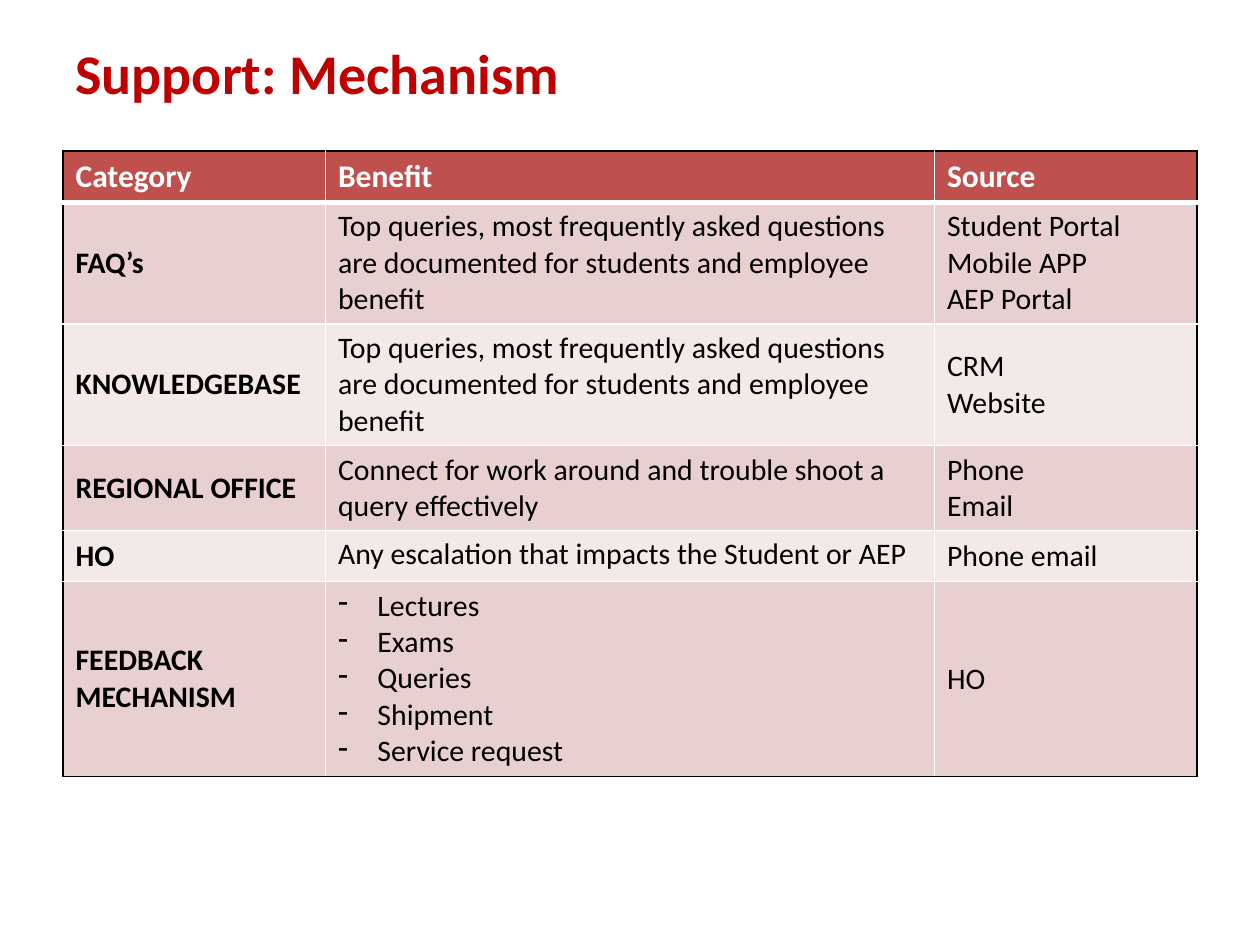
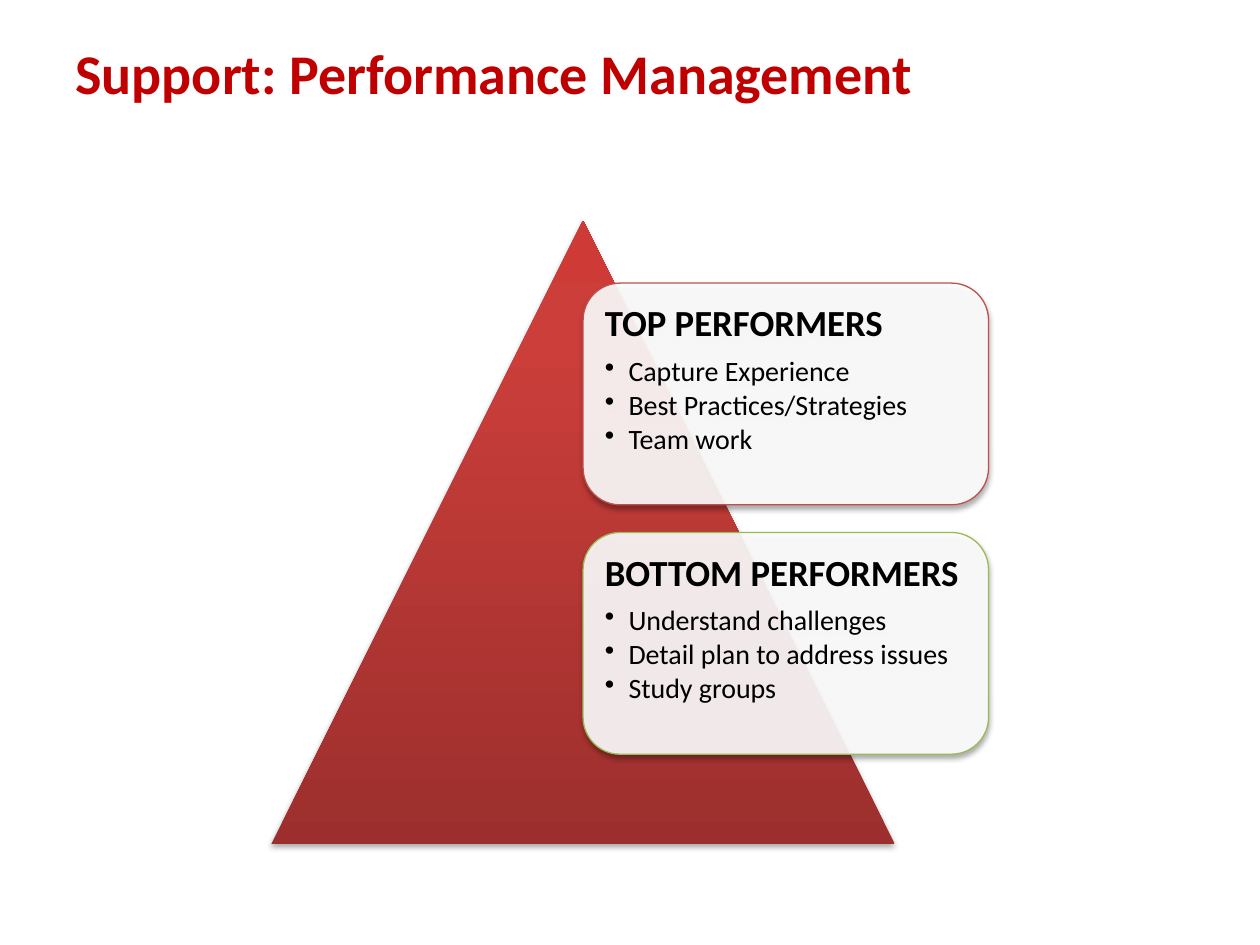
from dataclasses import dataclass

from lxml import etree
from pptx import Presentation
from pptx.dml.color import RGBColor
from pptx.enum.shapes import MSO_SHAPE
from pptx.enum.text import MSO_ANCHOR
from pptx.oxml.ns import qn
from pptx.util import Pt

TRIANGLE = MSO_SHAPE.ISOSCELES_TRIANGLE
ROUNDED = MSO_SHAPE.ROUNDED_RECTANGLE
TOP, MIDDLE = MSO_ANCHOR.TOP, MSO_ANCHOR.MIDDLE
BLANK_LAYOUT = 6


# Shared look
@dataclass(frozen=True)
class Theme:
    font: str = "Calibri"
    title: str = "C00000"
    ink: str = "000000"
    paper: str = "FFFFFF"
    red: str = "C0504D"
    green: str = "9BBB59"
    bands: tuple[str, str] = ("E8D0D0", "F4E9E9")
    pyramid: tuple[tuple[int, str], ...] = (
        (0, "9C2F2D"), (80, "CB3E3A"), (100, "CE3B37"))
    title_size: float = 32
    header_size: float = 18
    cell_size: float = 17
    card_title_size: float = 21
    card_size: float = 16


THEME = Theme()


@dataclass(frozen=True)
class Box:
    left: float
    top: float
    width: float
    height: float

    def lengths(self) -> tuple:
        return Pt(self.left), Pt(self.top), Pt(self.width), Pt(self.height)


@dataclass(frozen=True)
class SupportRow:
    height: float
    category: str
    benefit: tuple[str, ...]
    source: tuple[str, ...]
    bullet: str = ""
    source_anchor: MSO_ANCHOR = MIDDLE


@dataclass(frozen=True)
class Card:
    title: str
    points: tuple[str, ...]
    outline: str


# Slide content
QUERIES = ("Top queries, most frequently asked questions are documented "
           "for students and employee benefit",)
HEADINGS = ("Category", "Benefit", "Source")
HEADER_HEIGHT = 29.2
COLUMN_WIDTHS = (150, 348, 150)
SUPPORT_ROWS = (
    SupportRow(69.5, "FAQ’s", QUERIES,
               ("Student Portal", "Mobile APP", "AEP Portal"),
               source_anchor=TOP),
    SupportRow(69.5, "KNOWLEDGEBASE", QUERIES, ("CRM", "Website")),
    SupportRow(48.5, "REGIONAL OFFICE",
               ("Connect for work around and trouble shoot a query effectively",),
               ("Phone", "Email"), source_anchor=TOP),
    SupportRow(29.2, "HO", ("Any escalation that impacts the Student or AEP",),
               ("Phone email",)),
    SupportRow(111.5, "FEEDBACK MECHANISM",
               ("Lectures", "Exams", "Queries", "Shipment", "Service request"),
               ("HO",), bullet="-"),
)
CARDS = (
    Card("TOP PERFORMERS",
         ("Capture Experience", "Best Practices/Strategies", "Team work"),
         THEME.red),
    Card("BOTTOM PERFORMERS",
         ("Understand challenges", "Detail plan to address issues",
          "Study groups"),
         THEME.green),
)

TITLE_BOX = Box(36, 15.84, 648, 50.4)
TABLE_LEFT, TABLE_TOP = 36, 86.4
PYRAMID_BOX = Box(155, 126, 356.4, 356.4)
FIRST_CARD = Box(333.2, 161.8, 231.7, 126.7)
CARD_STEP = 142.5
CARD_INSET = 6.3


# Formatting helpers
def apply(target: object, values: dict) -> None:
    for name, value in values.items():
        setattr(target, name, value)


def write(para, text: str, size: float, color: str, bold: bool = False) -> None:
    span = para.add_run()
    span.text = text
    apply(span.font, {"name": THEME.font, "size": Pt(size), "bold": bold})
    span.font.color.rgb = RGBColor.from_string(color)


def add_bullet(para, mark: str, indent: float) -> None:
    properties = para._p.get_or_add_pPr()
    properties.set("marL", str(Pt(indent)))
    properties.set("indent", str(-Pt(indent)))
    etree.SubElement(properties, qn("a:buChar"), char=mark)


def next_para(frame, index: int):
    return frame.paragraphs[0] if index == 0 else frame.add_paragraph()


def add_color(parent, color: str):
    return etree.SubElement(parent, qn("a:srgbClr"), val=color)


def set_alpha(color_element, percent: int) -> None:
    etree.SubElement(color_element, qn("a:alpha"), val=str(percent * 1000))


def add_soft_shadow(shape) -> None:
    shape.shadow.inherit = False
    effects = shape._element.spPr.find(qn("a:effectLst"))
    shadow = etree.SubElement(
        effects, qn("a:outerShdw"), blurRad=str(Pt(3.1)), dist=str(Pt(1.8)),
        dir=str(90 * 60000), rotWithShape="0")
    set_alpha(add_color(shadow, THEME.ink), 35)


def add_title(page, text: str) -> None:
    frame = page.shapes.add_textbox(*TITLE_BOX.lengths()).text_frame
    apply(frame, {"word_wrap": True, "vertical_anchor": MIDDLE})
    write(frame.paragraphs[0], text, THEME.title_size, THEME.title, True)


# Table
def set_borders(cell, row: int, column: int) -> None:
    last_row, last_column = len(SUPPORT_ROWS), len(HEADINGS) - 1
    outer = {"L": column == 0, "R": column == last_column,
             "T": row == 0, "B": row == last_row}
    below_header = {"T": row == 1, "B": row == 0}
    properties = cell._tc.get_or_add_tcPr()
    for index, (side, is_outer) in enumerate(outer.items()):
        width = 3 if below_header.get(side) else 1
        line = etree.Element(qn(f"a:ln{side}"), w=str(Pt(width)))
        fill = etree.SubElement(line, qn("a:solidFill"))
        add_color(fill, THEME.ink if is_outer else THEME.paper)
        properties.insert(index, line)


def fill_cell(cell, lines: tuple[str, ...], size: float, color: str, fill: str,
              bold: bool = False, anchor: MSO_ANCHOR = TOP,
              bullet: str = "") -> None:
    cell.fill.solid()
    cell.fill.fore_color.rgb = RGBColor.from_string(fill)
    cell.vertical_anchor = anchor
    for index, text in enumerate(lines):
        para = next_para(cell.text_frame, index)
        if bullet:
            add_bullet(para, bullet, 22.5)
        write(para, text, size, color, bold)


def add_support_table(page) -> None:
    heights = (HEADER_HEIGHT, *(row.height for row in SUPPORT_ROWS))
    box = Box(TABLE_LEFT, TABLE_TOP, sum(COLUMN_WIDTHS), sum(heights))
    table = page.shapes.add_table(
        len(heights), len(HEADINGS), *box.lengths()).table
    table.horz_banding = False
    for column, width in zip(table.columns, COLUMN_WIDTHS):
        column.width = Pt(width)
    for table_row, height in zip(table.rows, heights):
        table_row.height = Pt(height)

    for column, heading in enumerate(HEADINGS):
        fill_cell(table.cell(0, column), (heading,), THEME.header_size,
                  THEME.paper, THEME.red, bold=True)
    for index, row in enumerate(SUPPORT_ROWS):
        category, benefit, source = table.rows[index + 1].cells
        style = (THEME.cell_size, THEME.ink, THEME.bands[index % 2])
        fill_cell(category, (row.category,), *style, bold=True, anchor=MIDDLE)
        fill_cell(benefit, row.benefit, *style, bullet=row.bullet)
        fill_cell(source, row.source, *style, anchor=row.source_anchor)
    for row_index in range(len(heights)):
        for column in range(len(HEADINGS)):
            set_borders(table.cell(row_index, column), row_index, column)


# Pyramid and cards
def add_pyramid(page) -> None:
    pyramid = page.shapes.add_shape(TRIANGLE, *PYRAMID_BOX.lengths())
    pyramid.fill.gradient()
    pyramid.fill.gradient_angle = 90
    stops = pyramid._element.spPr.find(f".//{qn('a:gsLst')}")
    for stop in list(stops):
        stops.remove(stop)
    for position, color in THEME.pyramid:
        add_color(etree.SubElement(stops, qn("a:gs"), pos=str(position * 1000)),
                  color)
    pyramid.line.fill.background()
    add_soft_shadow(pyramid)


def add_card(page, card: Card, box: Box) -> None:
    shape = page.shapes.add_shape(ROUNDED, *box.lengths())
    shape.fill.solid()
    shape.fill.fore_color.rgb = RGBColor.from_string(THEME.paper)
    set_alpha(shape._element.spPr.find(f"{qn('a:solidFill')}/{qn('a:srgbClr')}"),
              90)
    shape.line.color.rgb = RGBColor.from_string(card.outline)
    shape.line.width = Pt(0.75)
    add_soft_shadow(shape)

    frame = shape.text_frame
    apply(frame, {"word_wrap": True, "vertical_anchor": TOP})
    apply(frame, {f"margin_{side}": Pt(CARD_INSET)
                  for side in ("left", "top", "right", "bottom")})
    for index, text in enumerate((card.title, *card.points)):
        is_title = index == 0
        para = next_para(frame, index)
        apply(para, {"alignment": 1, "line_spacing": 0.9,
                     "space_after": Pt(7.35 if is_title else 2.1),
                     "level": 0 if is_title else 1})
        if not is_title:
            add_bullet(para, "•", 13.5)
        size = THEME.card_title_size if is_title else THEME.card_size
        write(para, text, size, THEME.ink, is_title)


# Slides
def add_page(deck, title: str):
    page = deck.slides.add_slide(deck.slide_layouts[BLANK_LAYOUT])
    add_title(page, title)
    return page


def main() -> None:
    deck = Presentation()
    apply(deck, {"slide_width": Pt(720), "slide_height": Pt(540)})

    add_support_table(add_page(deck, "Support: Mechanism"))

    page = add_page(deck, "Support: Performance Management")
    add_pyramid(page)
    for index, card in enumerate(CARDS):
        add_card(page, card, Box(FIRST_CARD.left,
                                 FIRST_CARD.top + index * CARD_STEP,
                                 FIRST_CARD.width, FIRST_CARD.height))

    deck.save("out.pptx")


if __name__ == "__main__":
    main()
